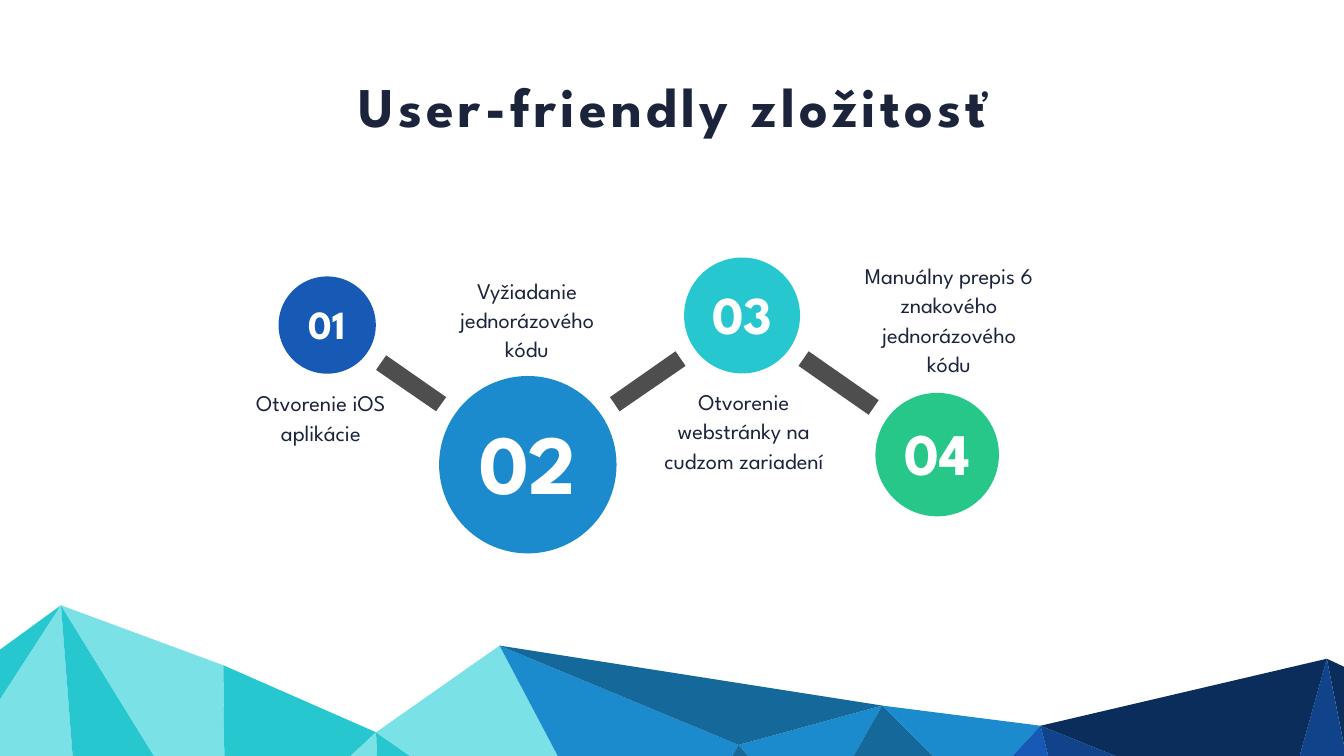
from dataclasses import dataclass
from typing import Any, Sequence

from pptx import Presentation
from pptx.dml.color import RGBColor
from pptx.enum.shapes import MSO_SHAPE
from pptx.enum.text import MSO_ANCHOR, PP_ALIGN
from pptx.util import Inches, Pt

OVAL = MSO_SHAPE.OVAL
CENTER = PP_ALIGN.CENTER
MIDDLE = MSO_ANCHOR.MIDDLE

Point = tuple[float, float]


@dataclass(frozen=True)
class Theme:
    font: str = "League Spartan"
    ink: str = "1B243B"
    white: str = "FFFFFF"
    bar: str = "4E4E4E"
    aqua: str = "7AE1E6"
    turquoise: str = "27C7CF"
    green: str = "27C78A"
    sky: str = "1B8BCD"
    teal: str = "14689A"
    blue: str = "165AB6"
    royal: str = "104389"
    navy: str = "0B2D5B"
    title_size: float = 80
    title_tracking: float = 6
    body_size: float = 32
    body_leading: float = 42


THEME = Theme()


@dataclass(frozen=True)
class Step:
    number: str
    center: Point
    diameter: float
    color: str
    number_size: float
    caption: str
    caption_at: Point
    caption_height: float


@dataclass(frozen=True)
class Facet:
    color: str
    corners: str


STEPS = (
    Step("01", (6.49, 6.45), 1.93, THEME.blue, 57,
         "Otvorenie iOS aplikácie", (4.46, 7.63), 1.28),
    Step("02", (10.47, 9.22), 3.52, THEME.sky, 120,
         "Vyžiadanie jednorázového kódu", (8.55, 5.39), 1.87),
    Step("03", (14.72, 6.26), 2.3, THEME.turquoise, 76,
         "Otvorenie webstránky na cudzom zariadení", (12.85, 7.6), 1.87),
    Step("04", (18.59, 9.02), 2.45, THEME.green, 84,
         "Manuálny prepis 6 znakového jednorázového kódu", (16.92, 5.1), 2.46),
)
CAPTION_WIDTH = 3.81

BARS = (
    ((8.85, 7.88), (7.66, 7.05), (7.46, 7.34), (8.65, 8.16)),
    ((13.4, 6.97), (12.1, 7.88), (12.29, 8.16), (13.6, 7.26)),
    ((17.43, 7.94), (16.04, 6.97), (15.84, 7.26), (17.23, 8.23)),
)

# Corners that neighbouring facets share; the floor lies below the slide.
FLOOR = 16.66
RIDGE: dict[str, Point] = {
    "edge_top": (0, 12.89), "edge_low": (0, 13.88), "west_peak": (1.21, 12.01),
    "west_knee": (4.43, 13.2), "valley": (7.46, 14.53), "mid_peak": (9.91, 12.81),
    "hollow": (14.65, 14.78), "mid_knee": (17.5, 14), "dip": (16.1, 16.47),
    "slope": (19.33, 15.81), "saddle": (20.64, 14.4), "east_base": (25.41, 16.32),
    "east_peak": (26.32, 13.07), "right_top": (26.81, 13.3), "right_low": (26.81, 15.55),
    "floor_0": (0, FLOOR), "floor_1": (1.57, FLOOR), "floor_2": (4.08, FLOOR),
    "floor_3": (4.47, FLOOR), "floor_4": (5.18, FLOOR), "floor_5": (7.54, FLOOR),
    "floor_6": (10.51, FLOOR), "floor_7": (11.94, FLOOR), "floor_8": (13.61, FLOOR),
    "floor_9": (15.71, FLOOR), "floor_10": (20.28, FLOOR), "floor_11": (21.22, FLOOR),
    "floor_12": (24.41, FLOOR), "floor_13": (26, FLOOR), "floor_14": (26.81, FLOOR),
}

FACETS = (
    Facet(THEME.turquoise, "west_peak edge_top edge_low"),
    Facet(THEME.aqua, "floor_1 west_peak edge_low floor_0"),
    Facet(THEME.turquoise, "floor_2 west_peak floor_1"),
    Facet(THEME.aqua, "floor_3 west_knee west_peak floor_2"),
    Facet(THEME.turquoise, "floor_4 valley west_knee floor_3"),
    Facet(THEME.aqua, "floor_5 valley floor_4"),
    Facet(THEME.turquoise, "floor_6 valley floor_5"),
    Facet(THEME.aqua, "floor_7 mid_peak valley floor_6"),
    Facet(THEME.sky, "floor_8 hollow mid_peak floor_7"),
    Facet(THEME.sky, "hollow dip mid_knee"),
    Facet(THEME.teal, "dip slope mid_knee"),
    Facet(THEME.sky, "mid_knee slope saddle"),
    Facet(THEME.blue, "floor_11 saddle slope floor_10"),
    Facet(THEME.navy, "saddle east_base east_peak"),
    Facet(THEME.royal, "floor_12 east_base saddle floor_11"),
    Facet(THEME.navy, "right_top east_peak right_low"),
    Facet(THEME.royal, "floor_14 right_low east_peak east_base floor_13"),
    Facet(THEME.teal, "mid_peak mid_knee hollow"),
    Facet(THEME.teal, "floor_9 dip hollow floor_8"),
)


def paint(shape: Any, color: str) -> None:
    shape.shadow.inherit = False
    shape.fill.solid()
    shape.fill.fore_color.rgb = RGBColor.from_string(color)
    shape.line.fill.background()


def add_polygon(shapes: Any, points: Sequence[Point], color: str) -> None:
    start, *others = [(Inches(x), Inches(y)) for x, y in points]
    builder = shapes.build_freeform(*start)
    builder.add_line_segments(others, close=True)
    paint(builder.convert_to_shape(), color)


def write(paragraph: Any, text: str, size: float, color: str, bold: bool = False) -> Any:
    """Add one centred run in the theme font and return it."""
    paragraph.alignment = CENTER
    run = paragraph.add_run()
    run.text = text
    run.font.name = THEME.font
    run.font.size = Pt(size)
    run.font.bold = bold
    run.font.color.rgb = RGBColor.from_string(color)
    return run


def add_title(slide: Any, text: str) -> None:
    box = slide.shapes.add_textbox(Inches(6.88), Inches(1.36), Inches(12.93), Inches(1.45))
    box.text_frame.word_wrap = False
    run = write(box.text_frame.paragraphs[0], text, THEME.title_size, THEME.ink, bold=True)
    run.font._element.set("spc", str(round(THEME.title_tracking * 100)))


def add_circle(slide: Any, step: Step) -> None:
    x, y = step.center
    radius = step.diameter / 2
    circle = slide.shapes.add_shape(OVAL, Inches(x - radius), Inches(y - radius),
                                    Inches(step.diameter), Inches(step.diameter))
    paint(circle, step.color)
    frame = circle.text_frame
    frame.word_wrap = False
    frame.vertical_anchor = MIDDLE
    frame.margin_left = frame.margin_right = frame.margin_top = 0
    frame.margin_bottom = Pt(step.number_size * 0.1)  # lifts the digits to the centre
    write(frame.paragraphs[0], step.number, step.number_size, THEME.white, bold=True)


def add_caption(slide: Any, step: Step) -> None:
    left, top = step.caption_at
    box = slide.shapes.add_textbox(Inches(left), Inches(top),
                                   Inches(CAPTION_WIDTH), Inches(step.caption_height))
    box.text_frame.word_wrap = True
    paragraph = box.text_frame.paragraphs[0]
    paragraph.line_spacing = Pt(THEME.body_leading)
    write(paragraph, step.caption, THEME.body_size, THEME.ink)


def main() -> None:
    presentation = Presentation()
    presentation.slide_width = Inches(26.66)
    presentation.slide_height = Inches(15)
    slide = presentation.slides.add_slide(presentation.slide_layouts[6])
    slide.background.fill.solid()
    slide.background.fill.fore_color.rgb = RGBColor.from_string(THEME.white)

    mountains = slide.shapes.add_group_shape()
    for facet in FACETS:
        corners = [RIDGE[name] for name in facet.corners.split()]
        add_polygon(mountains.shapes, corners, facet.color)
    for bar in BARS:
        add_polygon(slide.shapes, bar, THEME.bar)
    for step in STEPS:
        add_circle(slide, step)
    add_title(slide, "User-friendly zložitosť")
    for step in STEPS:
        add_caption(slide, step)
    presentation.save("out.pptx")


if __name__ == "__main__":
    main()
